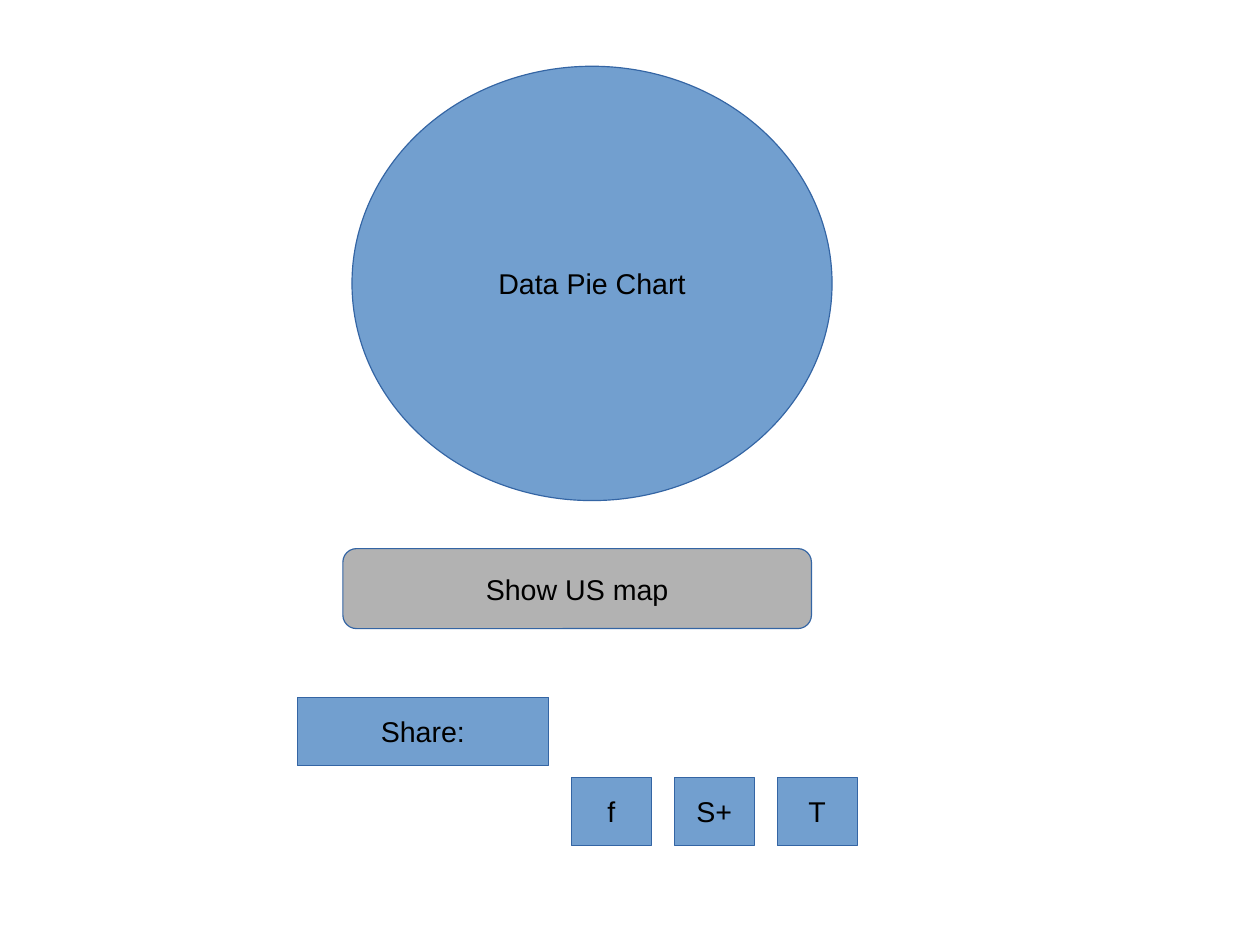
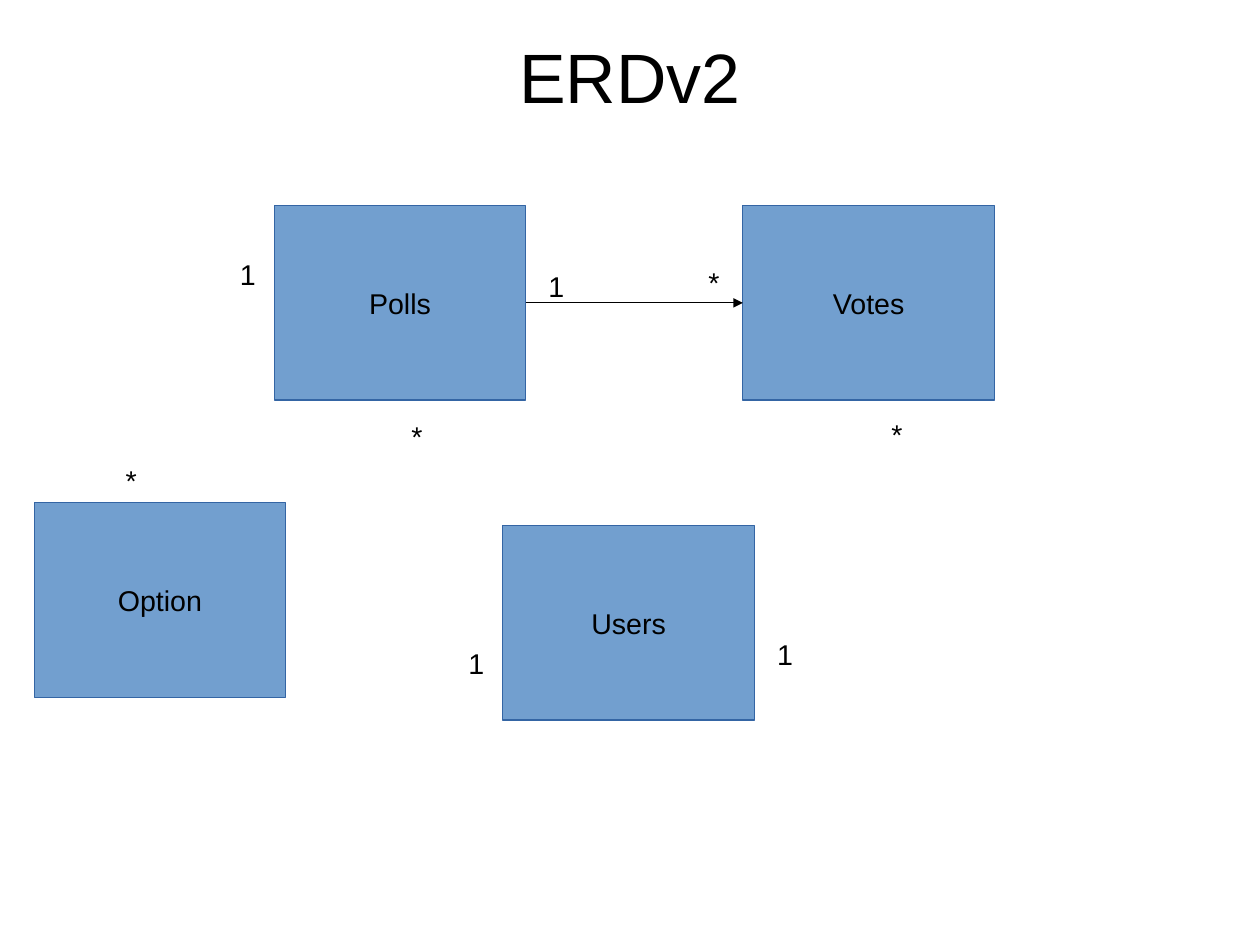
from lxml import etree
from pptx import Presentation
from pptx.dml.color import RGBColor
from pptx.enum.shapes import MSO_CONNECTOR, MSO_SHAPE
from pptx.enum.text import MSO_ANCHOR, MSO_AUTO_SIZE, PP_ALIGN
from pptx.oxml.ns import qn
from pptx.util import Cm, Inches, Pt

ELLIPSE = MSO_SHAPE.OVAL
RECTANGLE = MSO_SHAPE.RECTANGLE
ROUNDED = MSO_SHAPE.ROUNDED_RECTANGLE
ELBOW = MSO_CONNECTOR.ELBOW
CENTER, LEFT = PP_ALIGN.CENTER, PP_ALIGN.LEFT
MIDDLE, TOP = MSO_ANCHOR.MIDDLE, MSO_ANCHOR.TOP
NO_AUTOFIT = MSO_AUTO_SIZE.NONE

COLORS = {"blue": "729FCF", "border": "3465A4", "gray": "B2B2B2", "ink": "000000"}
FONT = "Arial"
SLIDE_WIDTH, SLIDE_HEIGHT = Cm(28), Cm(21)
GRID = 0.1
LINE_WIDTH = Pt(0.75)
LEFT_SIDE, RIGHT_SIDE = 1, 3
ENTITY_SIZE = (22, 17)
LABEL_SIZE = (3, 3.8)
SHARE_SIZE = (7, 6)
SHARE_LEFT, SHARE_TOP, SHARE_STEP = 50, 68, 9


def color(name):
    return RGBColor.from_string(COLORS[name])


def grid(*steps):
    return [Inches(round(step * GRID, 2)) for step in steps]


def write(shape, text, size=18, align=CENTER, anchor=MIDDLE, wrap=False):
    frame = shape.text_frame
    frame.word_wrap = wrap
    frame.auto_size = NO_AUTOFIT
    frame.vertical_anchor = anchor
    para = frame.paragraphs[0]
    para.alignment = align
    span = para.add_run()
    span.text = text
    span.font.name = FONT
    span.font.size = Pt(size)
    span.font.color.rgb = color("ink")


def add_box(page, text, left, top, size, kind=RECTANGLE, fill="blue"):
    box = page.shapes.add_shape(kind, *grid(left, top, *size))
    box.shadow.inherit = False
    box.fill.solid()
    box.fill.fore_color.rgb = color(fill)
    box.line.color.rgb = color("border")
    box.line.width = LINE_WIDTH
    write(box, text)
    return box


def add_label(page, text, left, top):
    label = page.shapes.add_textbox(*grid(left, top, *LABEL_SIZE))
    write(label, text, align=LEFT, anchor=TOP, wrap=True)


def add_title(page, text):
    title = page.shapes.title
    title.left, title.top, title.width, title.height = grid(5.5, 3.2, 99.2, 6.9)
    write(title, text, size=44, wrap=True)
    frame = title.text_frame
    frame.margin_left = frame.margin_right = 0
    frame.margin_top = frame.margin_bottom = 0


def add_arrow(page, source, target):
    middle = source.top + source.height // 2
    arrow = page.shapes.add_connector(
        ELBOW, source.left + source.width, middle, target.left, middle)
    arrow.begin_connect(source, RIGHT_SIDE)
    arrow.end_connect(target, LEFT_SIDE)
    arrow.line.color.rgb = color("ink")
    arrow.line.width = LINE_WIDTH
    properties = arrow._element.spPr
    etree.SubElement(properties.find(qn("a:ln")), qn("a:tailEnd"), type="triangle")
    etree.SubElement(properties, qn("a:effectLst"))


def build_results(deck):
    page = deck.slides.add_slide(deck.slide_layouts[6])
    add_box(page, "Data Pie Chart", 30.8, 5.8, (42, 38), kind=ELLIPSE)
    for index, text in enumerate(["f", "S+", "T"]):
        add_box(page, text, SHARE_LEFT + index * SHARE_STEP, SHARE_TOP, SHARE_SIZE)
    add_box(page, "Share:", 26, 61, (22, 6))
    button = add_box(page, "Show US map", 30, 48, (41, 7), kind=ROUNDED, fill="gray")
    button.adjustments[0] = 0.17


def build_diagram(deck):
    page = deck.slides.add_slide(deck.slide_layouts[5])
    add_title(page, "ERDv2")
    entities = {
        name: add_box(page, name, left, top, ENTITY_SIZE)
        for name, left, top in [
            ("Users", 44, 46), ("Polls", 24, 18), ("Votes", 65, 18), ("Option", 3, 44)]
    }
    add_arrow(page, entities["Polls"], entities["Votes"])
    for text, left, top in [
        ("1", 40, 56), ("*", 35, 36.2), ("1", 47, 23), ("*", 61, 22.7),
        ("*", 77, 36), ("1", 67, 55.2), ("1", 20, 22), ("*", 10, 40),
    ]:
        add_label(page, text, left, top)


def main():
    deck = Presentation()
    deck.slide_width, deck.slide_height = SLIDE_WIDTH, SLIDE_HEIGHT
    build_results(deck)
    build_diagram(deck)
    deck.save("out.pptx")


if __name__ == "__main__":
    main()
